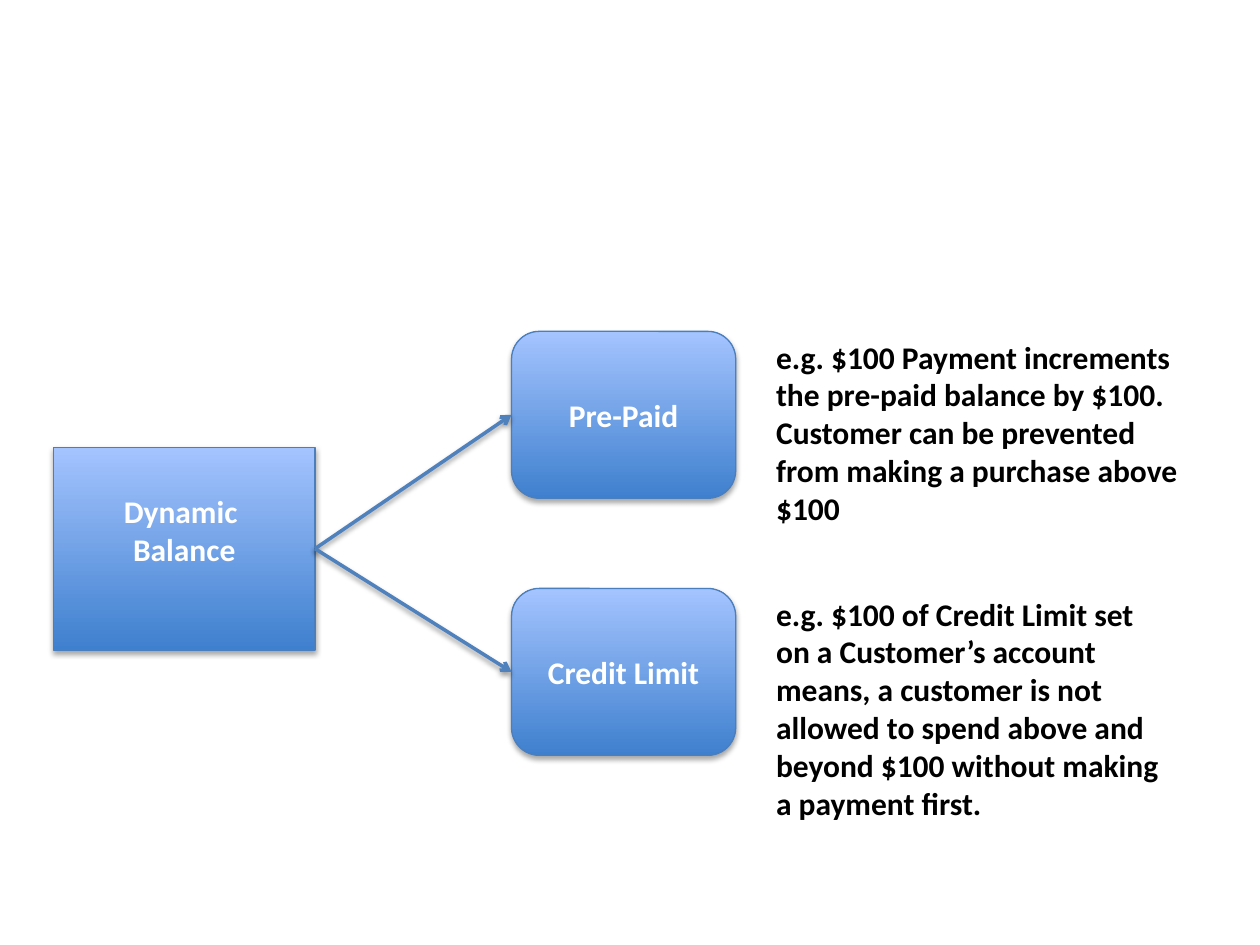
import dataclasses

import lxml.etree
import pptx
import pptx.dml.color
import pptx.enum.shapes
import pptx.enum.text
import pptx.oxml.ns
import pptx.util

Inches = pptx.util.Inches
Pt = pptx.util.Pt
Shape = pptx.enum.shapes.MSO_SHAPE
Align = pptx.enum.text.PP_ALIGN


@dataclasses.dataclass(frozen=True)
class Theme:
    font: str = "Calibri"
    size: float = 18
    fill_bottom: str = "3F80CE"
    fill_top: str = "A4C4FF"
    outline: str = "4B7EBC"
    arrow: str = "4F81BD"
    light: str = "FFFFFF"
    dark: str = "000000"
    outline_width: float = 0.75
    arrow_width: float = 2


@dataclasses.dataclass(frozen=True)
class Box:
    left: float
    top: float
    width: float
    height: float

    def lengths(self):
        return [Inches(v) for v in (self.left, self.top, self.width, self.height)]

    def share(self, left, top, width, height):
        """Return a box given as shares of this one."""
        return Box(self.left + left * self.width, self.top + top * self.height,
                   width * self.width, height * self.height)


THEME = Theme()
BALANCE = ["Dynamic ", "Balance"]
KINDS = [
    ("Pre-Paid", "e.g. $100 Payment increments the pre-paid balance by $100. "
                 "Customer can be prevented from making a purchase above $100", 0.64),
    ("Credit Limit", "e.g. $100 of Credit Limit set on a Customer’s account means, "
                     "a customer is not allowed to spend above and beyond $100 "
                     "without making a payment first.", 0.59),
]


def rgb(value):
    return pptx.dml.color.RGBColor.from_string(value)


def add_shadow(properties, distance, opacity):
    """Cast a soft shadow straight down; distance in points, opacity in percent."""
    effects = properties.find(pptx.oxml.ns.qn("a:effectLst"))
    if effects is None:
        effects = lxml.etree.SubElement(properties, pptx.oxml.ns.qn("a:effectLst"))
    shadow = lxml.etree.SubElement(
        effects, pptx.oxml.ns.qn("a:outerShdw"), blurRad=str(Pt(3.1)),
        dist=str(Pt(distance)), dir="5400000", rotWithShape="0")
    color = lxml.etree.SubElement(shadow, pptx.oxml.ns.qn("a:srgbClr"), val=THEME.dark)
    lxml.etree.SubElement(color, pptx.oxml.ns.qn("a:alpha"), val=str(opacity * 1000))


def write(frame, lines, color, align):
    frame.word_wrap = True
    for index, line in enumerate(lines):
        para = frame.paragraphs[0] if index == 0 else frame.add_paragraph()
        para.text = line
        para.alignment = align
        para.font.name = THEME.font
        para.font.size = Pt(THEME.size)
        para.font.bold = True
        para.font.color.rgb = rgb(color)


def add_node(page, box, preset, lines):
    node = page.shapes.add_shape(preset, *box.lengths())
    node.fill.gradient()
    node.fill.gradient_angle = 90
    colors = (THEME.fill_bottom, THEME.fill_top)
    for position, (stop, color) in enumerate(zip(node.fill.gradient_stops, colors)):
        stop.position = position
        stop.color.rgb = rgb(color)
    node.line.color.rgb = rgb(THEME.outline)
    node.line.width = Pt(THEME.outline_width)
    node.shadow.inherit = False
    add_shadow(node._element.spPr, 1.8, 35)
    node.text_frame.vertical_anchor = pptx.enum.text.MSO_ANCHOR.MIDDLE
    write(node.text_frame, lines, THEME.light, Align.CENTER)
    return node


def add_arrow(page, source, target):
    """Join the right side of source to the left side of target."""
    arrow = page.shapes.add_connector(
        pptx.enum.shapes.MSO_CONNECTOR.STRAIGHT, 0, 0, 0, 0)
    arrow.begin_connect(source, 3)
    arrow.end_connect(target, 1)
    arrow.line.color.rgb = rgb(THEME.arrow)
    arrow.line.width = Pt(THEME.arrow_width)
    properties = arrow._element.spPr
    outline = properties.find(pptx.oxml.ns.qn("a:ln"))
    lxml.etree.SubElement(outline, pptx.oxml.ns.qn("a:tailEnd"), type="arrow")
    add_shadow(properties, 1.6, 38)


def add_example(page, box, text):
    example = page.shapes.add_textbox(*box.lengths())
    write(example.text_frame, [text], THEME.dark, Align.LEFT)


def add_balance(page, box):
    balance = add_node(page, box, Shape.RECTANGLE, BALANCE)
    # Lifts the label by half a line above the middle.
    balance.text_frame.margin_bottom = Inches(0.35)
    return balance


def add_kind(page, box, name, text, text_share):
    """Place a rounded node with its example to the right; return the node."""
    node = add_node(page, box.share(0, 0, 0.32, 0.69), Shape.ROUNDED_RECTANGLE, [name])
    add_example(page, box.share(0.36, 0, text_share, 1), text)
    return node


def build_diagram(page, box):
    """Place the balance and its kinds on a grid of 100 columns by 75 rows."""
    column, row = 1 / 100, 1 / 75
    balance = add_balance(
        page, box.share(4.25 * column, 35.5 * row, 20.75 * column, 16.1 * row))
    for index, kind in enumerate(KINDS):
        top = (26.3 + index * 20.4) * row
        target = add_kind(
            page, box.share(40.6 * column, top, 55.6 * column, 19.2 * row), *kind)
        add_arrow(page, balance, target)


def main():
    deck = pptx.Presentation()
    deck.slide_width, deck.slide_height = Inches(10), Inches(7.5)
    page = deck.slides.add_slide(deck.slide_layouts[6])
    build_diagram(page, Box(0, 0, 10, 7.5))
    deck.save("out.pptx")


if __name__ == "__main__":
    main()
